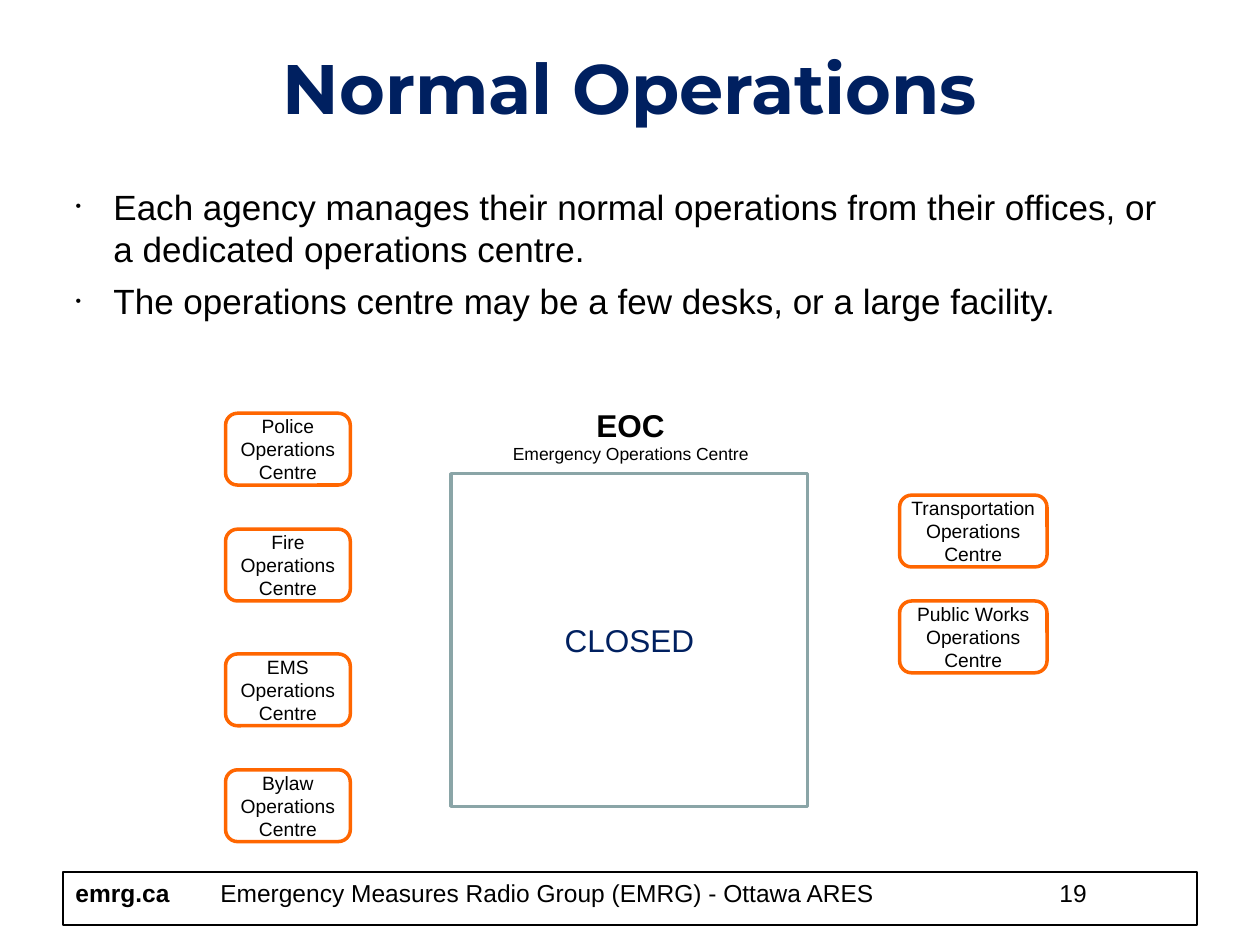
"""Build the Normal Operations slide with its agency centres and closed EOC."""
import pptx
import pptx.dml.color
import pptx.enum.shapes
import pptx.enum.text
import pptx.oxml
import pptx.oxml.ns
import pptx.util
from pptx.util import Inches

COLORS = {"text": "000000", "navy": "002060", "agency": "FF6600", "eoc": "8AA5A7"}
SHAPES = pptx.enum.shapes.MSO_SHAPE
ANCHOR = pptx.enum.text.MSO_ANCHOR
CENTER = pptx.enum.text.PP_ALIGN.CENTER
LEFT = pptx.enum.text.PP_ALIGN.LEFT

BULLETS = [
    "Each agency manages their normal operations from their offices, "
    "or a dedicated operations centre.",
    "The operations centre may be a few desks, or a large facility.",
]
AGENCIES = [
    ("Police", 1.79, 3.28, 0.99),
    ("Fire", 1.79, 4.2, 0.99),
    ("EMS", 1.79, 5.19, 0.99),
    ("Bylaw", 1.79, 6.11, 0.99),
    ("Transportation", 7.14, 3.93, 1.17),
    ("Public Works", 7.14, 4.77, 1.17),
]
FOOTER = [
    ("emrg.ca", 0.5, 1.01, True),
    ("Emergency Measures Radio Group (EMRG) - Ottawa ARES", 1.65, 6.6, False),
    ("19", 8.31, 1.19, False),
]


def rgb(name):
    return pptx.dml.color.RGBColor.from_string(COLORS[name])


def style(para, size, color="text", bold=False, align=LEFT, face="Arial"):
    para.alignment = align
    para.font.size = pptx.util.Pt(size)
    para.font.name = face
    para.font.bold = bold
    para.font.color.rgb = rgb(color)


def fill_frame(frame, lines, anchor=ANCHOR.TOP, **look):
    frame.word_wrap = True
    frame.auto_size = pptx.enum.text.MSO_AUTO_SIZE.NONE
    frame.vertical_anchor = anchor
    frame.text = "\n".join(lines)
    for para in frame.paragraphs:
        style(para, **look)


def place(shape, left, top, width, height):
    shape.left, shape.top = Inches(left), Inches(top)
    shape.width, shape.height = Inches(width), Inches(height)


def add_title(page, text):
    title = page.shapes.title
    place(title, 0.5, 0.3, 9, 1.12)
    fill_frame(title.text_frame, [text], size=40, color="navy", bold=True,
               align=CENTER, face="Montserrat")


def add_bullet(para):
    props = para._p.get_or_add_pPr()
    props.set("marL", str(Inches(0.3)))
    props.set("indent", str(Inches(-0.3)))
    namespace = pptx.oxml.ns.nsdecls("a")
    for xml in (
        f'<a:buClr {namespace}><a:srgbClr val="{COLORS["text"]}"/></a:buClr>',
        f'<a:buSzPct {namespace} val="45000"/>',
        f'<a:buFont {namespace} typeface="Arial"/>',
        f'<a:buChar {namespace} char="•"/>',
    ):
        props.append(pptx.oxml.parse_xml(xml))


def add_body(page, lines):
    body = page.placeholders[1]
    place(body, 0.5, 1.42, 9, 1.18)
    frame = body.text_frame
    fill_frame(frame, [], size=20)
    frame.text = "\n".join(lines)
    for index, para in enumerate(frame.paragraphs):
        para.space_before = pptx.util.Pt(6 if index else 0)
        add_bullet(para)
        style(para, 20)


def add_label(page, lines, left, top, width, height, **look):
    box = page.shapes.add_textbox(*map(Inches, (left, top, width, height)))
    fill_frame(box.text_frame, lines, **look)
    return box


def add_outline(page, kind, bounds, color, weight):
    box = page.shapes.add_shape(kind, *map(Inches, bounds))
    box.shadow.inherit = False
    box.fill.background()
    box.line.color.rgb = rgb(color)
    box.line.width = pptx.util.Pt(weight)
    return box


def add_agency(page, name, left, top, width):
    box = add_outline(page, SHAPES.ROUNDED_RECTANGLE, (left, top, width, 0.57), "agency", 2)
    box.text_frame.margin_left = box.text_frame.margin_right = 0
    fill_frame(box.text_frame, [name, "Operations Centre"], ANCHOR.MIDDLE,
               size=11, align=CENTER)


def add_eoc(page):
    heading = add_label(page, ["EOC", "Emergency Operations Centre"],
                        3.92, 3.17, 2.17, 0.57, size=10, align=CENTER)
    style(heading.text_frame.paragraphs[0], 18, bold=True, align=CENTER)
    room = add_outline(page, SHAPES.RECTANGLE, (3.58, 3.76, 2.83, 2.64), "eoc", 2)
    fill_frame(room.text_frame, ["CLOSED"], ANCHOR.MIDDLE,
               size=18, color="navy", align=CENTER)


def add_footer(page):
    add_outline(page, SHAPES.RECTANGLE, (0.5, 6.92, 9, 0.42), "text", 1)
    for text, left, width, bold in FOOTER:
        add_label(page, [text], left, 6.92, width, 0.42, size=14, bold=bold)


def main():
    deck = pptx.Presentation()
    deck.slide_width, deck.slide_height = Inches(10), Inches(7.5)
    page = deck.slides.add_slide(deck.slide_layouts[1])
    add_footer(page)
    add_title(page, "Normal Operations")
    add_body(page, BULLETS)
    add_eoc(page)
    for agency in AGENCIES:
        add_agency(page, *agency)
    deck.save("out.pptx")


if __name__ == "__main__":
    main()
